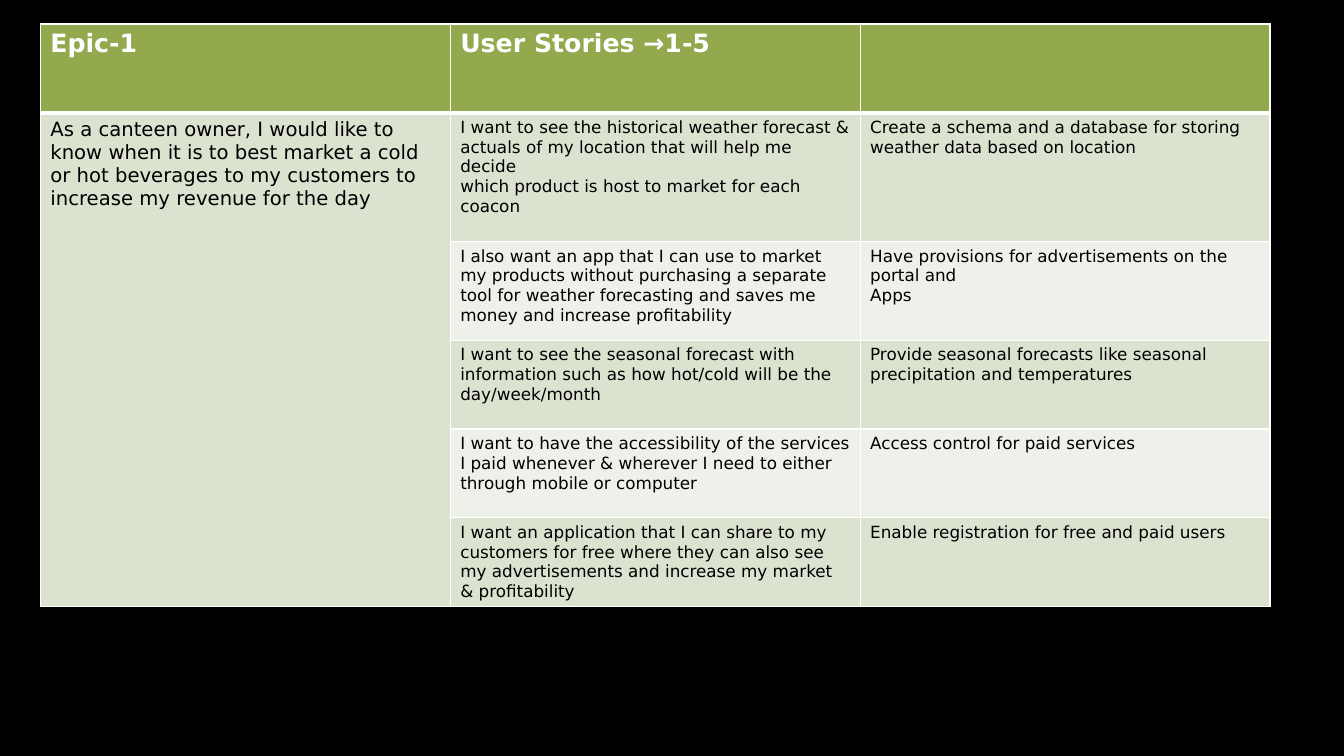
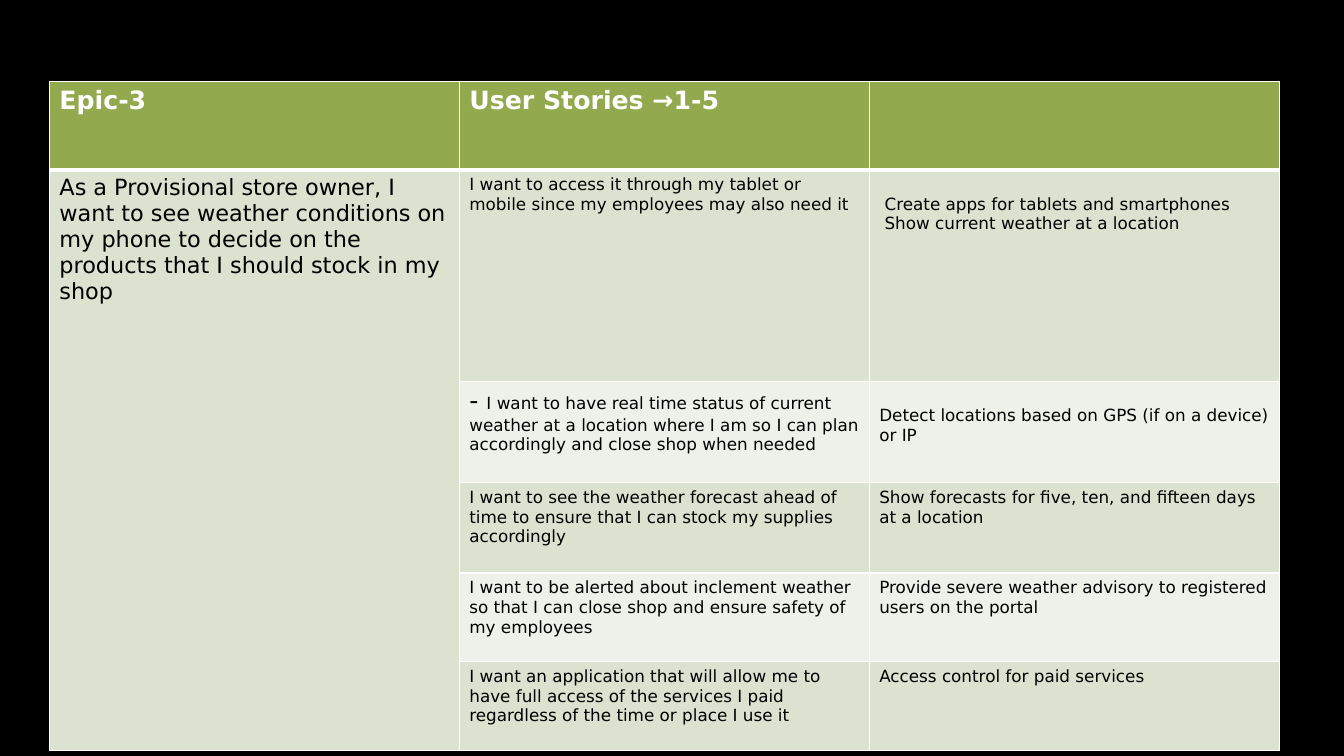
from dataclasses import dataclass

from lxml.etree import SubElement
from pptx import Presentation
from pptx.dml.color import RGBColor as Rgb
from pptx.oxml.ns import qn
from pptx.util import Pt

COLORS = {
    "page": "000000",
    "header": "93A94E",
    "band_dark": "DCE2D0",
    "band_light": "EEF1E9",
    "border": "FFFFFF",
    "header_text": "FFFFFF",
    "body_text": "000000",
}
FONT = "DejaVu Sans"
COLUMN_WIDTH = 292.8
ROW_HEIGHT = 63.4
LINE_HEIGHT = 14
SIDE_MARGIN = 7.2
TOP_MARGIN = 3.6


@dataclass
class Entry:
    """Content of one table cell; each line of text is a paragraph."""
    text: str
    size: int = 12
    lead: str = ""
    lines_above: int = 0
    indent: float = 0


def color(name):
    """Look up a palette colour."""
    return Rgb.from_string(COLORS[name])


def add_page(deck):
    """Add a blank page with the dark background."""
    page = deck.slides.add_slide(deck.slide_layouts[6])
    fill = page.background.fill
    fill.solid()
    fill.fore_color.rgb = color("page")
    return page


def add_span(para, text, size, tone, bold):
    """Append one formatted run."""
    span = para.add_run()
    span.text = text
    span.font.name = FONT
    span.font.size = Pt(size)
    span.font.bold = bold
    span.font.color.rgb = color(tone)


def style_cell(cell, row):
    """Give a cell its borders and the fill of its row."""
    props = cell._tc.get_or_add_tcPr()
    widths = {"L": 1, "R": 1, "T": 3 if row == 1 else 1, "B": 3 if row == 0 else 1}
    for side, width in widths.items():
        line = SubElement(props, qn(f"a:ln{side}"), w=str(Pt(width)))
        fill = SubElement(line, qn("a:solidFill"))
        SubElement(fill, qn("a:srgbClr"), val=COLORS["border"])
    band = "header" if row == 0 else "band_dark" if row % 2 else "band_light"
    cell.fill.solid()
    cell.fill.fore_color.rgb = color(band)


def write_cell(cell, entry, is_header=False):
    """Write an entry into a cell."""
    cell.margin_left = Pt(SIDE_MARGIN + entry.indent)
    cell.margin_top = Pt(TOP_MARGIN + entry.lines_above * LINE_HEIGHT)
    tone = "header_text" if is_header else "body_text"
    frame = cell.text_frame
    for index, text in enumerate(entry.text.split("\n")):
        para = frame.add_paragraph() if index else frame.paragraphs[0]
        if entry.lead and index == 0:
            add_span(para, entry.lead, 18, tone, is_header)
        add_span(para, text, entry.size, tone, is_header)


def add_epic(deck, left, top, title, epic, stories, heights):
    """Add a page with the table of one epic and its user stories."""
    page = add_page(deck)
    count = len(stories) + 1
    frame = page.shapes.add_table(count, 3, Pt(left), Pt(top),
                                  Pt(3 * COLUMN_WIDTH), Pt(count * ROW_HEIGHT))
    table = frame.table
    table.horz_banding = False
    for column in table.columns:
        column.width = Pt(COLUMN_WIDTH)
    for index, row in enumerate(table.rows):
        row.height = Pt(heights.get(index, ROW_HEIGHT))
        for cell in row.cells:
            style_cell(cell, index)
    table.cell(1, 0).merge(table.cell(count - 1, 0))
    for column, heading in enumerate((title, "User Stories →1-5")):
        write_cell(table.cell(0, column), Entry(heading, 18), True)
    write_cell(table.cell(1, 0), epic)
    for row, pair in enumerate(stories, 1):
        for column, entry in enumerate(pair, 1):
            write_cell(table.cell(row, column), entry)


CANTEEN_STORIES = [
    (Entry("I want to see the historical weather forecast & actuals of my location "
           "that will help me decide\nwhich product is host to market for each coacon"),
     Entry("Create a schema and a database for storing weather data based on location")),
    (Entry("I also want an app that I can use to market my products without purchasing "
           "a separate tool for weather forecasting and saves me money and increase "
           "profitability"),
     Entry("Have provisions for advertisements on the portal and\nApps")),
    (Entry("I want to see the seasonal forecast with information such as how hot/cold "
           "will be the\nday/week/month"),
     Entry("Provide seasonal forecasts like seasonal\nprecipitation and temperatures")),
    (Entry("I want to have the accessibility of the services I paid whenever & wherever "
           "I need to either through mobile or computer"),
     Entry("Access control for paid services")),
    (Entry("I want an application that I can share to my customers for free where they "
           "can also see my advertisements and increase my market & profitability"),
     Entry("Enable registration for free and paid users")),
]
STORE_STORIES = [
    (Entry("I want to access it through my tablet or mobile since my employees may "
           "also need it"),
     Entry("Create apps for tablets and smartphones\nShow current weather at a location",
           lines_above=1, indent=3.8)),
    (Entry("I want to have real time status of current weather at a location where I am "
           "so I can plan accordingly and close shop when needed", lead="- "),
     Entry("Detect locations based on GPS (if on a device) or IP", lines_above=1)),
    (Entry("I want to see the weather forecast ahead of time to ensure that I can stock "
           "my supplies accordingly"),
     Entry("Show forecasts for five, ten, and fifteen days at a location")),
    (Entry("I want to be alerted about inclement weather so that I can close shop and "
           "ensure safety of my employees"),
     Entry("Provide severe weather advisory to registered users on the portal")),
    (Entry("I want an application that will allow me to have full access of the services "
           "I paid regardless of the time or place I use it"),
     Entry("Access control for paid services")),
]


def main():
    """Build and save the deck."""
    deck = Presentation()
    deck.slide_width, deck.slide_height = Pt(960), Pt(540)
    add_epic(deck, 28.8, 17.2, "Epic-1",
             Entry("As a canteen owner, I would like to know when it is to best market "
                   "a cold or hot beverages to my customers to increase my revenue for "
                   "the day", 14),
             CANTEEN_STORIES, {1: 92, 2: 70.5})
    add_epic(deck, 35.3, 58, "Epic-3",
             Entry("As a Provisional store owner, I want to see weather conditions on my "
                   "phone to decide on the products that I should stock in my shop", 16),
             STORE_STORIES, {1: 151, 2: 72.5, 3: 64.5})
    deck.save("out.pptx")


if __name__ == "__main__":
    main()
